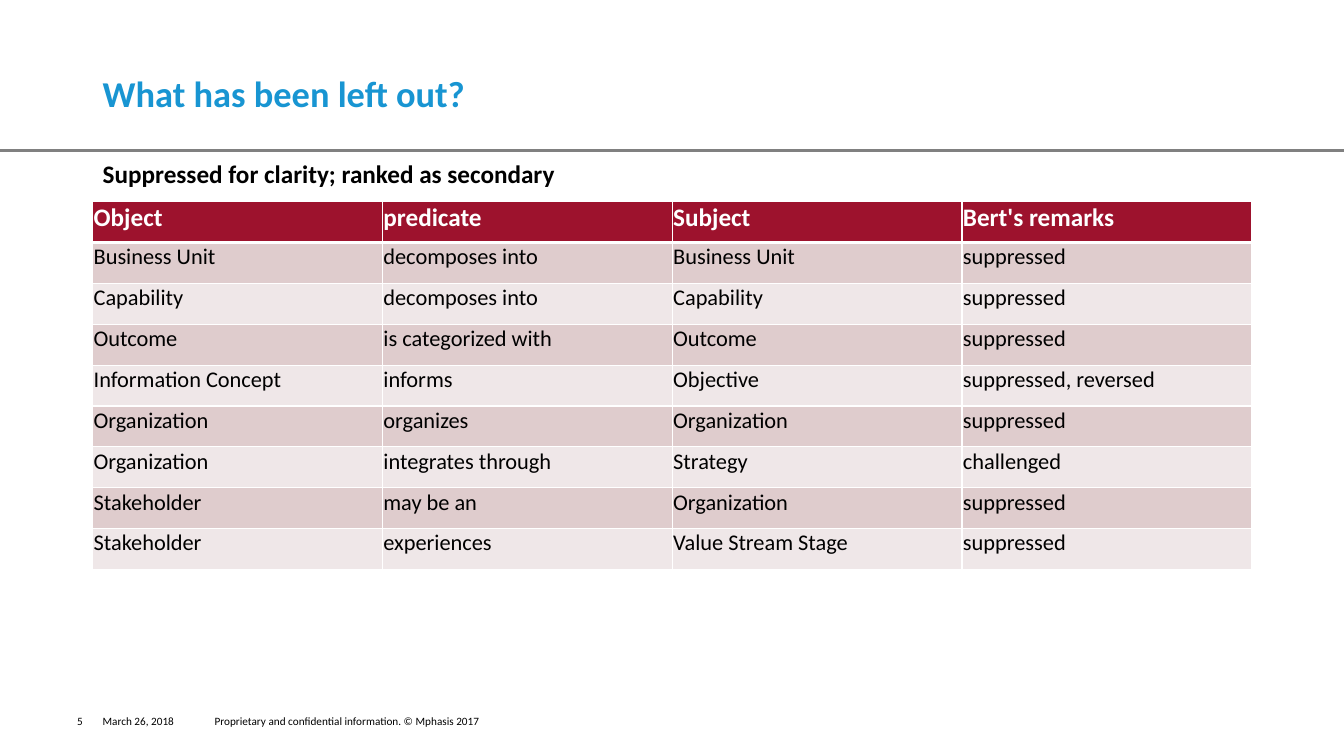
import pptx
import pptx.dml.color
import pptx.enum.shapes
import pptx.enum.text
import pptx.oxml
import pptx.oxml.ns
import pptx.util
from dataclasses import dataclass

Pt = pptx.util.Pt
ALIGN = pptx.enum.text.PP_ALIGN
MIDDLE = pptx.enum.text.MSO_ANCHOR.MIDDLE


@dataclass(frozen=True)
class Theme:
    font: str = "Calibri"
    title: str = "1895D2"
    ink: str = "000000"
    white: str = "FFFFFF"
    rule: str = "808080"
    header: str = "9D122D"
    bands: tuple = ("DFCCCD", "EFE7E8")
    title_size: int = 26
    lead_size: int = 18
    cell_size: int = 16
    footer_size: int = 8


def rgb(value):
    return pptx.dml.color.RGBColor.from_string(value)


class SlideBuilder:
    def __init__(self, page, theme):
        self.page = page
        self.theme = theme

    def add_span(self, para, text, size, color, bold=False):
        span = para.add_run()
        span.text = text
        span.font.name = self.theme.font
        span.font.size = Pt(size)
        span.font.bold = bold
        span.font.color.rgb = rgb(color)

    def placeholder(self, index, area, text, size, color):
        box = self.page.placeholders[index]
        box.left, box.top, box.width, box.height = map(Pt, area)
        frame = box.text_frame
        frame.auto_size = pptx.enum.text.MSO_AUTO_SIZE.NONE
        frame.vertical_anchor = MIDDLE
        para = frame.paragraphs[0]
        # No bullet and no hanging indent
        props = para._p.get_or_add_pPr()
        props.set("marL", "0")
        props.set("indent", "0")
        props.append(pptx.oxml.parse_xml(f"<a:buNone {pptx.oxml.ns.nsdecls('a')}/>"))
        para.alignment = ALIGN.LEFT
        para.line_spacing = 0.9
        para.space_before = Pt(0)
        self.add_span(para, text, size, color, bold=True)

    def label(self, area, text, align=ALIGN.LEFT):
        box = self.page.shapes.add_textbox(*map(Pt, area))
        frame = box.text_frame
        frame.word_wrap = True
        frame.vertical_anchor = MIDDLE
        para = frame.paragraphs[0]
        para.alignment = align
        self.add_span(para, text, self.theme.footer_size, self.theme.ink)

    def rule(self, x1, y1, x2, y2, weight):
        line = self.page.shapes.add_connector(
            pptx.enum.shapes.MSO_CONNECTOR.STRAIGHT, Pt(x1), Pt(y1), Pt(x2), Pt(y2))
        line.line.color.rgb = rgb(self.theme.rule)
        line.line.width = Pt(weight)
        line._element.spPr.append(
            pptx.oxml.parse_xml(f"<a:effectLst {pptx.oxml.ns.nsdecls('a')}/>"))

    def cell_border(self, cell, side, weight):
        cell._tc.get_or_add_tcPr().append(pptx.oxml.parse_xml(
            f'<a:ln{side} {pptx.oxml.ns.nsdecls("a")} w="{Pt(weight)}"><a:solidFill>'
            f'<a:srgbClr val="{self.theme.white}"/></a:solidFill></a:ln{side}>'))

    def table(self, area, rows):
        theme = self.theme
        grid = self.page.shapes.add_table(len(rows), len(rows[0]), *map(Pt, area)).table
        for row in grid.rows:
            row.height = Pt(area[3] / len(rows))
        for r, texts in enumerate(rows):
            is_header = r == 0
            fill = theme.header if is_header else theme.bands[(r - 1) % 2]
            size = theme.lead_size if is_header else theme.cell_size
            color = theme.white if is_header else theme.ink
            for c, text in enumerate(texts):
                cell = grid.cell(r, c)
                cell.margin_left = cell.margin_right = cell.margin_top = Pt(0.72)
                cell.margin_bottom = Pt(0)
                # A heavier line parts the header from the body
                weights = {"L": 1, "R": 1, "T": 3 if r == 1 else 1, "B": 3 if is_header else 1}
                for side, weight in weights.items():
                    self.cell_border(cell, side, weight)
                cell.fill.solid()
                cell.fill.fore_color.rgb = rgb(fill)
                self.add_span(cell.text_frame.paragraphs[0], text, size, color, is_header)


RELATIONS = [
    ("Object", "predicate", "Subject", "Bert's remarks"),
    ("Business Unit", "decomposes into", "Business Unit", "suppressed"),
    ("Capability", "decomposes into", "Capability", "suppressed"),
    ("Outcome", "is categorized with", "Outcome", "suppressed"),
    ("Information Concept", "informs", "Objective", "suppressed, reversed"),
    ("Organization", "organizes", "Organization", "suppressed"),
    ("Organization", "integrates through", "Strategy", "challenged"),
    ("Stakeholder", "may be an", "Organization", "suppressed"),
    ("Stakeholder", "experiences", "Value Stream Stage", "suppressed"),
]


def main():
    theme = Theme()
    deck = pptx.Presentation()
    deck.slide_width, deck.slide_height = Pt(960), Pt(540)
    builder = SlideBuilder(deck.slides.add_slide(deck.slide_layouts[1]), theme)
    left, width = 66.2, 828

    # Heading and lead line
    builder.rule(0, 107.7, 960, 107.7, 2)
    builder.placeholder(0, (left, 28.8, width, 78.5), "What has been left out?",
                        theme.title_size, theme.title)
    builder.placeholder(1, (left, 107.3, width, 36),
                        "Suppressed for clarity; ranked as secondary",
                        theme.lead_size, theme.ink)

    # Relations left out
    builder.table((left, 144, width, 262.8), RELATIONS)

    # Footer
    top, height = 500.4, 28.8
    builder.label((31.7, top, 34.5, height), "5", ALIGN.RIGHT)
    builder.label((left, top, 80, height), "March 26, 2018")
    builder.label((146.2, top, 496, height),
                  "Proprietary and confidential information. © Mphasis 2017")

    deck.save("out.pptx")


if __name__ == "__main__":
    main()
